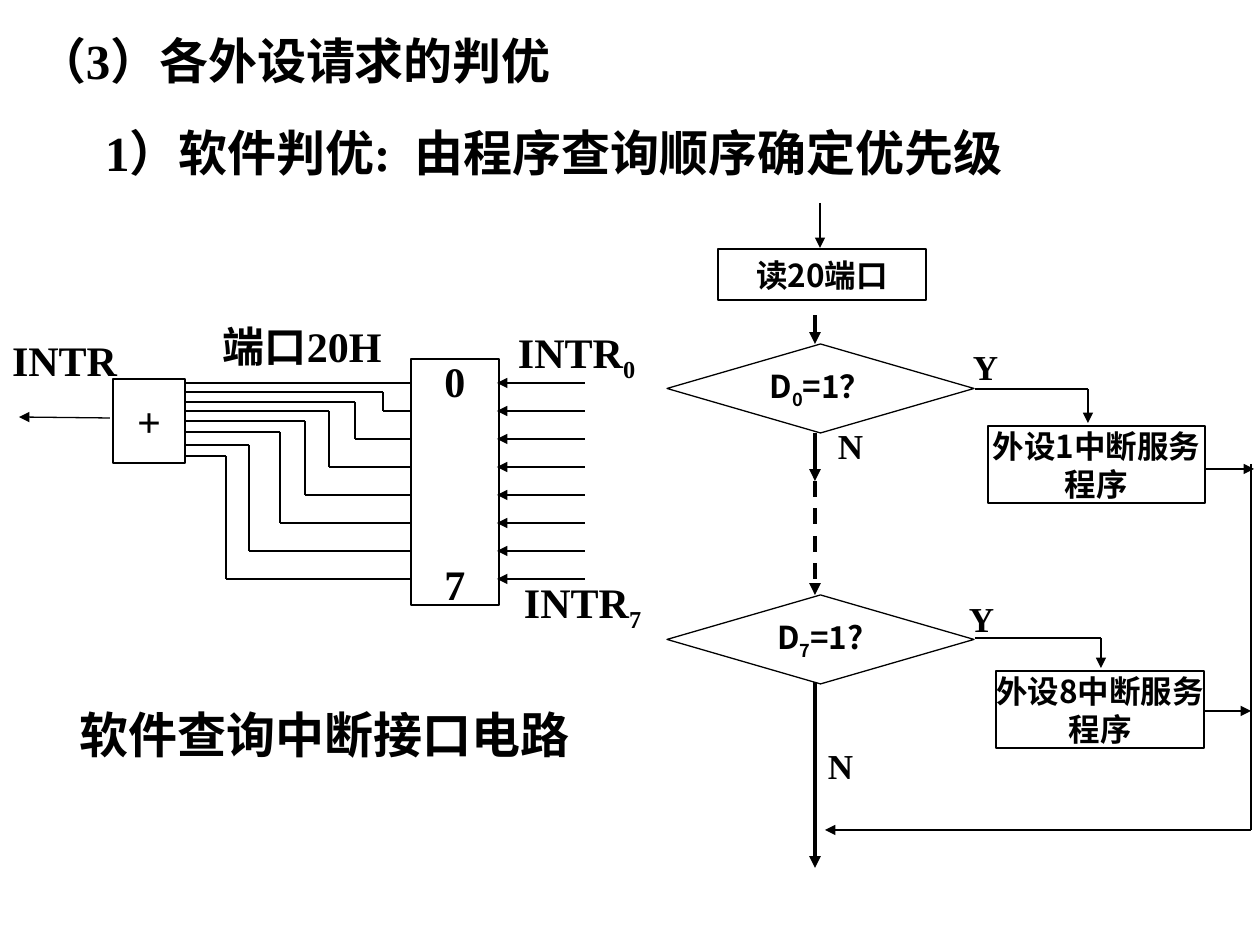
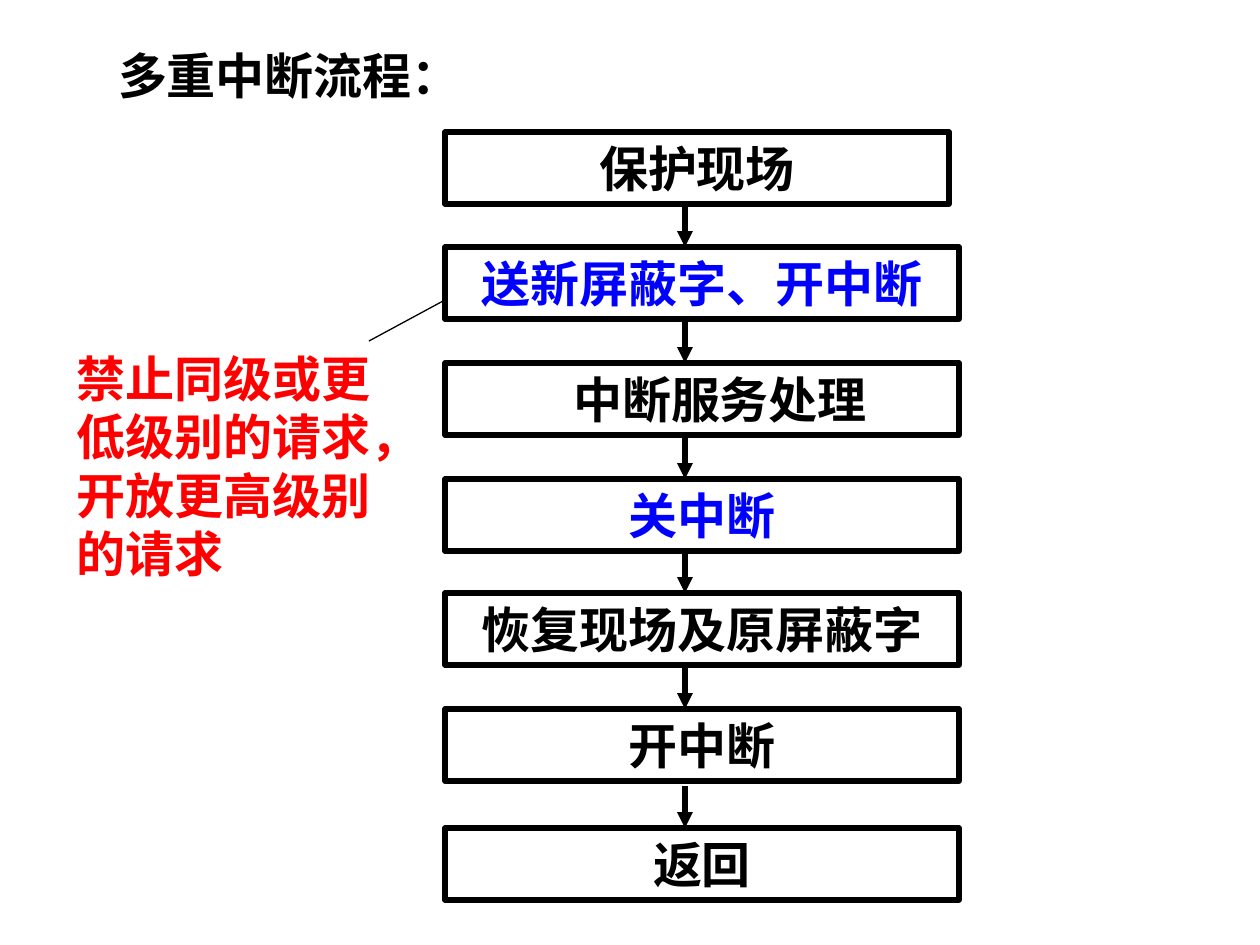
"""Build two slides on interrupt priority: software polling and nested interrupt flow."""
from lxml import etree
from pptx import Presentation
from pptx.dml.color import RGBColor
from pptx.enum.dml import MSO_LINE
from pptx.enum.shapes import MSO_CONNECTOR, MSO_SHAPE
from pptx.enum.text import MSO_ANCHOR, MSO_AUTO_SIZE, PP_ALIGN
from pptx.oxml.ns import qn
from pptx.util import Emu, Pt

COLORS = {"black": "000000", "white": "FFFFFF", "red": "FF0000", "blue": "0000FF"}
SERIF, SANS = "Times New Roman", "Noto Sans CJK SC"
RECT, DIAMOND = MSO_SHAPE.RECTANGLE, MSO_SHAPE.DIAMOND
LEFT, CENTER = PP_ALIGN.LEFT, PP_ALIGN.CENTER
MIDDLE, FIXED = MSO_ANCHOR.MIDDLE, MSO_AUTO_SIZE.NONE
STRAIGHT, DASH = MSO_CONNECTOR.STRAIGHT, MSO_LINE.DASH
TITLE_ONLY = 5


def px(n):
    """Turn pixels at 126 to the inch into EMU."""
    return Emu(round(n * 914400 / 126))


def rgb(name):
    """Look up a named colour."""
    return RGBColor.from_string(COLORS[name])


def write(sp, text, size, font=SERIF, color="black", align=LEFT, pad=(13, 6),
          wrap=True, pitch=None, indent=0):
    """Fill a shape with bold text; parts between bars become subscripts."""
    tf = sp.text_frame
    tf.word_wrap, tf.auto_size, tf.vertical_anchor = wrap, FIXED, MIDDLE
    tf.margin_left, tf.margin_right = px(pad[0] + indent), px(pad[0])
    tf.margin_top = tf.margin_bottom = px(pad[1])
    for i, line in enumerate(text.split("\n")):
        p = tf.paragraphs[0] if i == 0 else tf.add_paragraph()
        p.alignment = align
        if pitch:
            p.line_spacing = Pt(pitch)
        for j, part in enumerate(line.split("|")):
            r = p.add_run()
            r.text = part
            r.font.size, r.font.bold, r.font.name = Pt(size), True, font
            r.font.color.rgb = rgb(color)
            rPr = r._r.get_or_add_rPr()
            etree.SubElement(rPr, qn("a:ea")).set("typeface", SANS)
            if j % 2:
                rPr.set("baseline", "-25000")


def add_title(prs, text, x, y, w):
    """Add a slide with its title."""
    slide = prs.slides.add_slide(prs.slide_layouts[TITLE_ONLY])
    sp = slide.shapes.title
    sp.left, sp.top, sp.width, sp.height = px(x), px(y), px(w), px(72)
    write(sp, text, 28)
    return slide


def add_label(slide, text, x, y, w, h, size, **style):
    """Add a plain text label."""
    write(slide.shapes.add_textbox(px(x), px(y), px(w), px(h)), text, size, **style)


def add_box(slide, kind, text, x, y, w, h, size, line=0.75, fill=None, **style):
    """Add an outlined shape with centred text."""
    sp = slide.shapes.add_shape(kind, px(x), px(y), px(w), px(h))
    sp.shadow.inherit = False
    if fill:
        sp.fill.solid()
        sp.fill.fore_color.rgb = rgb(fill)
    else:
        sp.fill.background()
    sp.line.color.rgb, sp.line.width = rgb("black"), Pt(line)
    write(sp, text, size, align=CENTER, **style)
    return sp


def add_wire(slide, *points, width=0.75, arrow=False, dash=False):
    """Join points by straight lines, with an optional arrow at the last."""
    for start, end in zip(points, points[1:]):
        c = slide.shapes.add_connector(STRAIGHT, *map(px, start + end))
        c.line.color.rgb, c.line.width = rgb("black"), Pt(width)
        if dash:
            c.line.dash_style = DASH
        if arrow and end == points[-1]:
            etree.SubElement(c.line._get_or_add_ln(), qn("a:tailEnd")).set("type", "triangle")
        etree.SubElement(c._element.spPr, qn("a:effectLst"))


def draw_circuit(slide):
    """Draw the request port and the gate that merges its eight lines."""
    add_label(slide, "端口20H", 210, 314, 215, 64, 24)
    add_label(slide, "INTR", -1, 328, 168, 64, 24)
    add_label(slide, "INTR|0|", 518, 323, 160, 64, 24, pad=(0, 6))
    add_label(slide, "INTR|7|", 524, 573, 132, 64, 24, pad=(0, 6))
    add_box(slide, RECT, "+", 113, 379, 72, 84, 24, fill="white", wrap=False)
    port = add_box(slide, RECT, "0\n7", 411, 359, 88, 246, 24, fill="white", wrap=False)
    port.text_frame.paragraphs[1].space_before = Pt(87)
    gate_ys = [383, 392, 402, 411, 421, 432, 445, 456]
    bend_xs = [411, 383, 355, 329, 305, 280, 249, 226]
    for i, (gate_y, bend_x) in enumerate(zip(gate_ys, bend_xs)):
        port_y = 383 + 28 * i
        add_wire(slide, (585, port_y), (497, port_y), arrow=True)
        add_wire(slide, (185, gate_y), (bend_x, gate_y))
        if i:
            add_wire(slide, (bend_x, gate_y), (bend_x, port_y), (411, port_y))
    add_wire(slide, (110, 418), (19, 417), arrow=True)


def draw_polling(slide):
    """Draw the flow chart that tests each request bit in turn."""
    add_box(slide, RECT, "读20端口", 718, 249, 208, 51, 18, line=1.5, font=SANS)
    add_wire(slide, (820, 203), (820, 248), arrow=True)
    add_wire(slide, (815, 315), (815, 344), width=2.25, arrow=True)
    add_wire(slide, (815, 433), (815, 481), width=2.25, arrow=True)
    add_wire(slide, (815, 481), (815, 595), width=2.25, arrow=True, dash=True)
    add_wire(slide, (815, 682), (815, 868), width=2.25, arrow=True)
    for text, y in (("D|0|=1？", 344), ("D|7|=1?", 595)):
        add_box(slide, DIAMOND, text, 667, y, 307, 89, 18, font=SANS, wrap=False)
    services = [("外设1中断服务程序", 988, 426, 217, 389, 1088, 469, 1254),
                ("外设8中断服务程序", 996, 671, 208, 638, 1101, 711, 1251)]
    for text, x, y, w, yes_y, drop_x, exit_y, exit_x in services:
        add_box(slide, RECT, text, x, y, w, 77, 18, line=1, font=SANS, pad=(0, 0), pitch=21.7)
        add_wire(slide, (975, yes_y), (drop_x, yes_y), (drop_x, y - 3), arrow=True)
        add_wire(slide, (x + w, exit_y), (exit_x, exit_y), arrow=True)
    add_wire(slide, (1251, 464), (1251, 830), (825, 830), arrow=True)
    for text, x, y in (("Y", 960, 339), ("Y", 956, 591), ("N", 825, 418), ("N", 815, 738)):
        add_label(slide, text, x, y, 89, 54, 20)


def build_priority(prs):
    """Build the slide on software priority."""
    slide = add_title(prs, "（3）各外设请求的判优", 24, 24, 804)
    add_label(slide, "1）软件判优:", 92, 116, 472, 72, 28)
    add_label(slide, "由程序查询顺序确定优先级", 402, 116, 720, 72, 28)
    draw_circuit(slide)
    draw_polling(slide)
    add_label(slide, "软件查询中断接口电路", 67, 698, 529, 72, 28)


def build_nesting(prs):
    """Build the slide on the nested interrupt flow."""
    slide = add_title(prs, "多重中断流程：", 105, 39, 456)
    add_label(slide, "禁止同级或更低级别的请求，开放更高级别的请求", 64, 340, 357, 251, 28,
              color="red", pitch=33.4)
    add_wire(slide, (369, 341), (445, 300))
    steps = [("保护现场", 132, 504, "black", 0), ("送新屏蔽字、开中断", 247, 514, "blue", 0),
             ("中断服务处理", 363, 514, "black", 36), ("关中断", 479, 514, "blue", 0),
             ("恢复现场及原屏蔽字", 593, 514, "black", 0), ("开中断", 709, 514, "black", 0),
             ("返回", 828, 514, "black", 0)]
    for i, (text, y, w, color, indent) in enumerate(steps):
        add_box(slide, RECT, text, 445, y, w, 72, 28, line=3, color=color, indent=indent)
        if i:
            add_wire(slide, (685, y - 42), (685, y), width=3, arrow=True)


def main():
    """Build and save the presentation."""
    prs = Presentation()
    prs.slide_width, prs.slide_height = px(1260), px(945)
    build_priority(prs)
    build_nesting(prs)
    prs.save("out.pptx")


if __name__ == "__main__":
    main()
